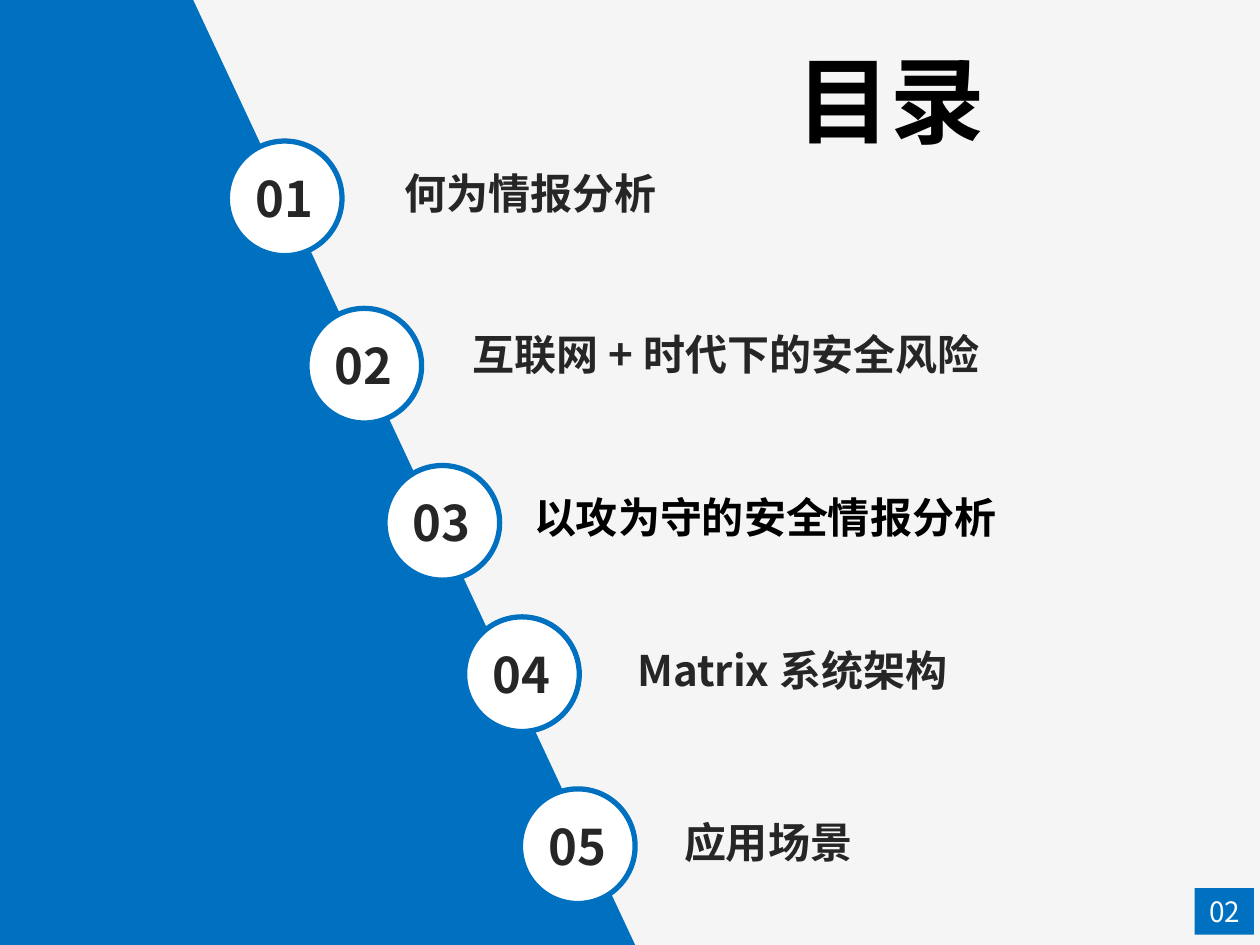
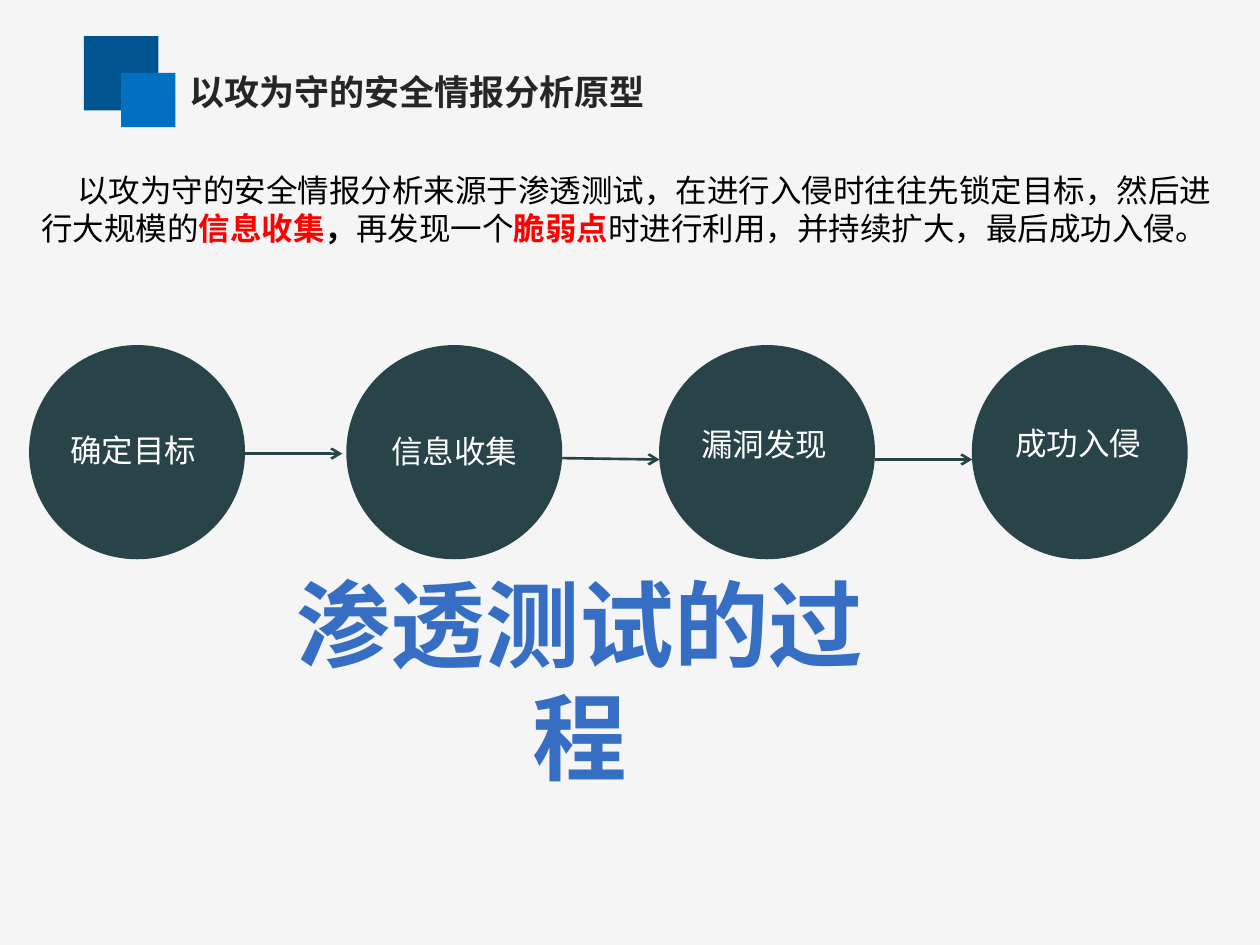
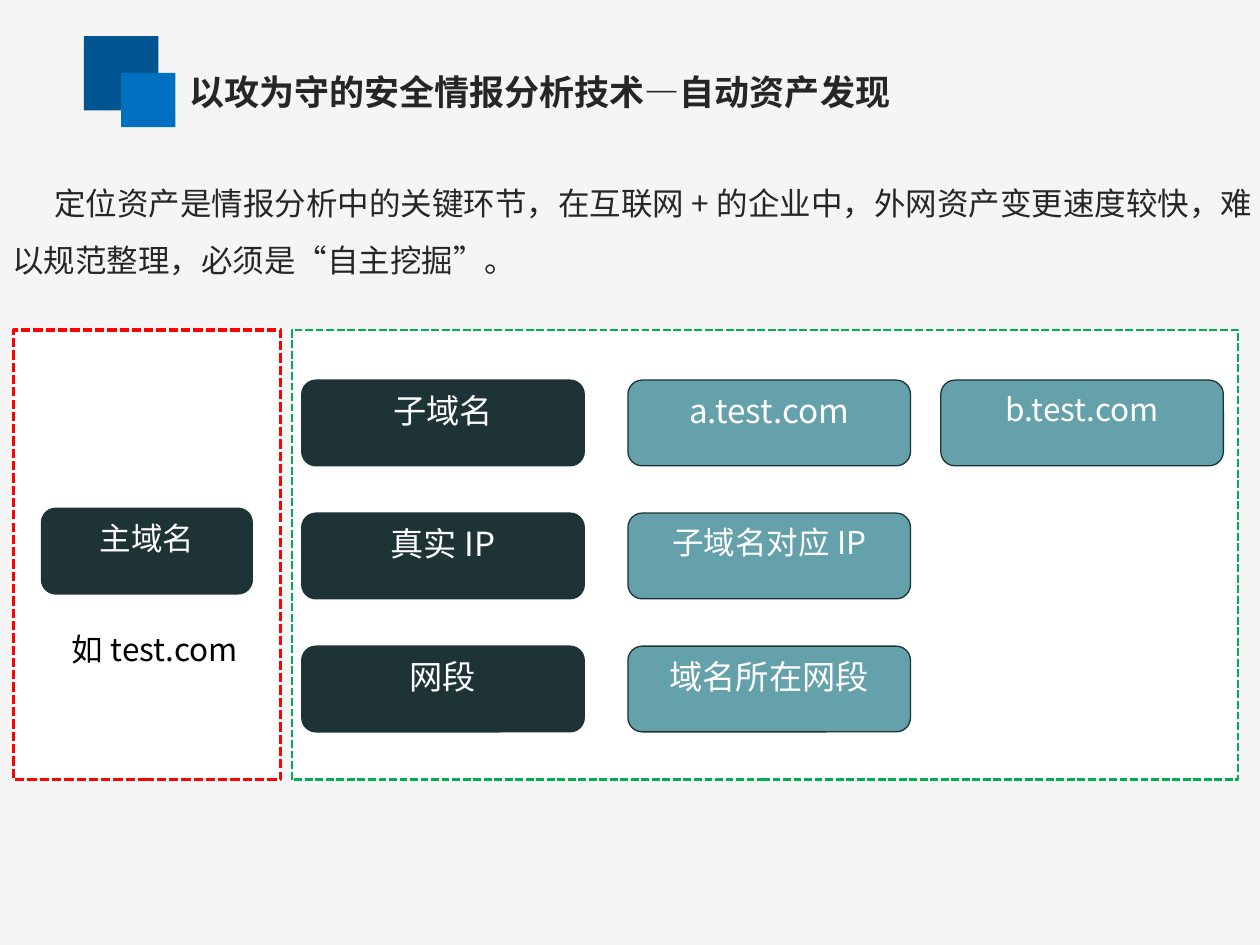
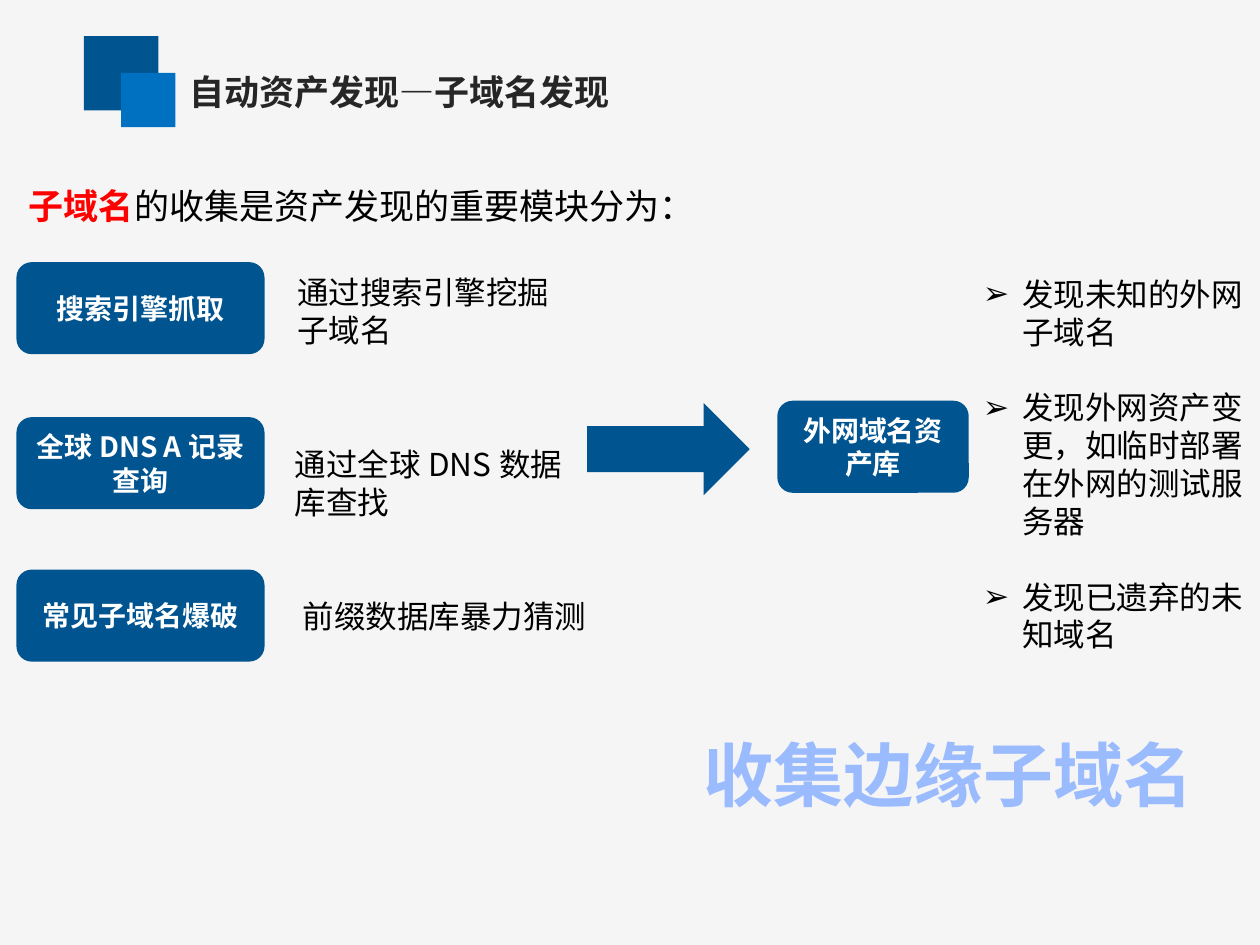
from lxml import etree
from pptx import Presentation
from pptx.dml.color import RGBColor
from pptx.enum.dml import MSO_LINE
from pptx.enum.shapes import MSO_CONNECTOR, MSO_SHAPE
from pptx.enum.text import MSO_ANCHOR, MSO_AUTO_SIZE, PP_ALIGN
from pptx.oxml.ns import qn
from pptx.util import Pt

# Shared colours, fonts and enum members
PAPER = RGBColor(0xF5, 0xF5, 0xF5)
WHITE = RGBColor(0xFF, 0xFF, 0xFF)
BLACK = RGBColor(0x00, 0x00, 0x00)
INK = RGBColor(0x26, 0x26, 0x26)
RED = RGBColor(0xFF, 0x00, 0x00)
GREEN = RGBColor(0x00, 0xB0, 0x50)
BLUE = RGBColor(0x00, 0x70, 0xC0)
NAVY = RGBColor(0x00, 0x54, 0x90)
SLATE = RGBColor(0x28, 0x44, 0x48)
DARK_TEAL = RGBColor(0x1E, 0x33, 0x36)
TEAL = RGBColor(0x65, 0xA1, 0xAA)
CAPTION_BLUE = RGBColor(0x36, 0x6E, 0xC4)
PALE_BLUE = RGBColor(0x9B, 0xBB, 0xFF)

FONT = "Noto Sans CJK SC"
CAPTION_FONT = "Calibri"
COVER_FONT = "Times New Roman"

LEFT, CENTER = PP_ALIGN.LEFT, PP_ALIGN.CENTER
TOP, MIDDLE = MSO_ANCHOR.TOP, MSO_ANCHOR.MIDDLE
NO_AUTOFIT = MSO_AUTO_SIZE.NONE
RECTANGLE, ROUNDED = MSO_SHAPE.RECTANGLE, MSO_SHAPE.ROUNDED_RECTANGLE
ELLIPSE, RIGHT_ARROW = MSO_SHAPE.OVAL, MSO_SHAPE.RIGHT_ARROW
STRAIGHT, SHORT_DASH = MSO_CONNECTOR.STRAIGHT, MSO_LINE.SQUARE_DOT

TITLE_AND_CONTENT, TITLE_ONLY = 1, 5


# Text helpers
def write_runs(paragraph, runs, size, color=BLACK, bold=False, font=FONT, align=LEFT):
    """runs is a string, or a list of (text, color, bold)."""
    paragraph.alignment = align
    if isinstance(runs, str):
        runs = [(runs, color, bold)]
    for text, run_color, run_bold in runs:
        run = paragraph.add_run()
        run.text = text
        run.font.name = font
        run.font.size = Pt(size)
        run.font.bold = run_bold
        run.font.color.rgb = run_color
        east_asian = etree.SubElement(run.font._element, qn("a:ea"))
        east_asian.set("typeface", FONT)


def set_indent(paragraph, margin, first_line):
    properties = paragraph._p.get_or_add_pPr()
    properties.set("marL", str(Pt(margin)))
    properties.set("indent", str(Pt(first_line)))
    return properties


def prepare_frame(shape, anchor=TOP):
    frame = shape.text_frame
    frame.word_wrap = True
    frame.auto_size = NO_AUTOFIT
    frame.vertical_anchor = anchor
    return frame


def place(shape, box):
    shape.left, shape.top, shape.width, shape.height = map(Pt, box)


def add_text(slide, box, runs, size, **style):
    text_box = slide.shapes.add_textbox(*map(Pt, box))
    paragraph = prepare_frame(text_box).paragraphs[0]
    write_runs(paragraph, runs, size, **style)
    return paragraph


def set_title(slide, box, text, size, **style):
    title = slide.shapes.title
    place(title, box)
    write_runs(prepare_frame(title).paragraphs[0], text, size, bold=True, **style)


# Shape helpers
def style_shape(shape, fill, line=None, width=0.75, dash=None):
    shape.shadow.inherit = False
    shape.fill.solid()
    shape.fill.fore_color.rgb = fill
    if line is None:
        shape.line.fill.background()
        return
    shape.line.color.rgb = line
    shape.line.width = Pt(width)
    if dash is not None:
        shape.line.dash_style = dash


def add_block(slide, kind, box, fill, **line_style):
    shape = slide.shapes.add_shape(kind, *map(Pt, box))
    style_shape(shape, fill, **line_style)
    return shape


def add_label_block(slide, box, text, size, fill, line=None, anchor=TOP, bold=False):
    block = add_block(slide, ROUNDED, box, fill, line=line)
    paragraph = prepare_frame(block, anchor).paragraphs[0]
    write_runs(paragraph, text, size, WHITE, bold, align=CENTER)


def add_arrow(slide, start, end):
    arrow = slide.shapes.add_connector(STRAIGHT, *map(Pt, start + end))
    arrow.line.color.rgb = SLATE
    arrow.line.width = Pt(1.5)
    arrow.line._get_or_add_ln().append(
        etree.Element(qn("a:tailEnd"), type="arrow"))
    etree.SubElement(arrow._element.spPr, qn("a:effectLst"))


# Slide frames
def new_slide(presentation, layout):
    return presentation.slides.add_slide(presentation.slide_layouts[layout])


def content_slide(presentation, heading, layout=TITLE_ONLY):
    slide = new_slide(presentation, layout)
    set_title(slide, (100.8, 36.7, 560, 31.7), heading, 20, color=INK)
    add_block(slide, RECTANGLE, (48, 20.6, 42.5, 42.5), NAVY)
    add_block(slide, RECTANGLE, (69.3, 41.7, 31, 31), BLUE)
    return slide


# Agenda slide
def add_wedge(slide):
    builder = slide.shapes.build_freeform(Pt(-2), Pt(-1))
    corners = [(110, -1), (363, 540), (-1, 543)]
    builder.add_line_segments([(Pt(x), Pt(y)) for x, y in corners])
    style_shape(builder.convert_to_shape(), BLUE)


def add_agenda_item(slide, left, top, number, topic, topic_box, color):
    add_block(slide, ELLIPSE, (left, top, 65.5, 65.5), WHITE, line=BLUE, width=3)
    add_text(slide, (left + 6, top + 12, 53, 41), f"{number:02d}", 28,
             color=INK, bold=True, align=CENTER)
    add_text(slide, topic_box + (36,), topic, 24, color=color, bold=True)


def add_page_badge(slide, left, top, label):
    add_block(slide, RECTANGLE, (left, top, 34, 26.6), BLUE)
    add_text(slide, (left - 8, top, 50.4, 26.6), label, 16, color=WHITE, align=CENTER)


def agenda_slide(presentation):
    slide = new_slide(presentation, TITLE_ONLY)
    set_title(slide, (343.4, 20.2, 331, 72.7), "目录", 54,
              color=BLACK, font=COVER_FONT, align=CENTER)
    add_wedge(slide)
    items = [
        (129.9, 80.6, "何为情报分析", (223.9, 92.2, 440), INK),
        (175.4, 176.2, "互联网+时代下的安全风险", (262.8, 184.3, 440), INK),
        (220, 266, "以攻为守的安全情报分析", (298.1, 277.2, 413), BLACK),
        (265.5, 352.5, "Matrix系统架构", (357.1, 365, 348), INK),
        (297.4, 450.8, "应用场景", (383.8, 463, 330), INK),
    ]
    for number, (left, top, topic, topic_box, color) in enumerate(items, 1):
        add_agenda_item(slide, left, top, number, topic, topic_box, color)
    add_page_badge(slide, 682.6, 507.5, "02")


# Penetration process slide
def add_process(slide, left, top):
    circle_width, circle_height = 123.4, 122.4
    # circle offset, label offset (x, y), step name
    steps = [
        (0, 7.2, 45.4, "确定目标"),
        (181.3, 190.8, 46.1, "信息收集"),
        (360, 368, 42.2, "漏洞发现"),
        (538.7, 547.2, 41.8, "成功入侵"),
    ]
    for circle_x, label_x, label_y, name in steps:
        add_block(slide, ELLIPSE,
                  (left + circle_x, top, circle_width, circle_height), SLATE)
        add_text(slide, (left + label_x, top + label_y, 104.4, 27), name, 18,
                 color=WHITE, align=CENTER)
    for step, (start_y, end_y) in zip(steps, [(62, 62), (64.6, 65.4), (65.4, 65.4)]):
        start_x = left + step[0] + circle_width
        add_arrow(slide, (start_x, top + start_y), (start_x + 55.6, top + end_y))


def process_slide(presentation):
    slide = content_slide(presentation, "以攻为守的安全情报分析原型")
    intro = add_text(slide, (16.6, 94.3, 685.4, 51), [
        ("以攻为守的安全情报分析来源于渗透测试，在进行入侵时往往先锁定目标，"
         "然后进行大规模的", BLACK, False),
        ("信息收集", RED, True),
        ("，", BLACK, True),
        ("再发现一个", BLACK, False),
        ("脆弱点", RED, True),
        ("时进行利用，并持续扩大，最后成功入侵。", BLACK, False),
    ], 18)
    set_indent(intro, 0, 20.5)
    add_process(slide, 16.6, 197.2)
    add_text(slide, (155.5, 319.7, 351.4, 63.4), "渗透测试的过程", 54,
             color=CAPTION_BLUE, bold=True, font=CAPTION_FONT, align=CENTER)


# Asset discovery slide
def add_domain_panel(slide, left, top):
    add_block(slide, RECTANGLE, (left, top, 152.6, 257), WHITE,
              line=RED, width=1.75, dash=SHORT_DASH)
    add_label_block(slide, (left + 15.8, top + 101.8, 120.5, 49), "主域名", 18,
                    DARK_TEAL, DARK_TEAL)
    add_text(slide, (left + 26, top + 167.8, 111, 35.3), "如test.com", 18)


def add_asset_panel(slide, left, top):
    add_block(slide, RECTANGLE, (left, top, 540.7, 257), WHITE,
              line=GREEN, width=1.5, dash=SHORT_DASH)
    rows = [
        [("子域名", 19), ("a.test.com", 19), ("b.test.com", 18)],
        [("真实IP", 19), ("子域名对应IP", 18)],
        [("网段", 19), ("域名所在网段", 19)],
    ]
    columns = [(5.6, DARK_TEAL), (192, TEAL), (370.8, TEAL)]
    for row_index, row in enumerate(rows):
        for (text, size), (x, fill) in zip(row, columns):
            box = (left + x, top + 28.6 + 76 * row_index, 161.5, 49)
            add_label_block(slide, box, text, size, fill, DARK_TEAL)


def asset_slide(presentation):
    slide = content_slide(presentation, "以攻为守的安全情报分析技术—自动资产发现")
    add_domain_panel(slide, 7.9, 188.6)
    add_asset_panel(slide, 166.8, 188.6)
    intro = add_text(
        slide, (0, 90.7, 733, 72.7),
        "定位资产是情报分析中的关键环节，在互联网+的企业中，外网资产变更速度较快，"
        "难以规范整理，必须是“自主挖掘”。", 18, color=INK)
    intro.line_spacing = 1.5
    set_indent(intro, 0, 24)


# Subdomain discovery slide
def add_methods(slide, left, top):
    # block offset, name, explanation, explanation box
    methods = [
        (0, "搜索引擎抓取", "通过搜索引擎挖掘子域名", (153.4, 2.9, 175.7, 51)),
        (88.6, "全球DNS A记录查询", "通过全球DNS数据库查找", (152, 100.8, 177, 51)),
        (175.7, "常见子域名爆破", "前缀数据库暴力猜测", (156.4, 188, 195, 28.8)),
    ]
    for y, name, explanation, (text_x, text_y, width, height) in methods:
        add_label_block(slide, (left, top + y, 141.8, 52.6), name, 16, NAVY,
                        anchor=MIDDLE, bold=True)
        add_text(slide, (left + text_x, top + text_y, width, height), explanation, 18)


def add_findings(slide, box):
    body = slide.placeholders[1]
    place(body, box)
    frame = prepare_frame(body)
    findings = [
        "发现未知的外网子域名",
        "发现外网资产变更，如临时部署在外网的测试服务器",
        "发现已遗弃的未知域名",
    ]
    for index, finding in enumerate(findings):
        paragraph = frame.add_paragraph() if index else frame.paragraphs[0]
        properties = set_indent(paragraph, 22.5, -22.5)
        etree.SubElement(properties, qn("a:buChar"), char="➢")
        paragraph.space_before = Pt(21.7 if index else 0)
        write_runs(paragraph, finding, 18)


def subdomain_slide(presentation):
    slide = content_slide(presentation, "自动资产发现—子域名发现", TITLE_AND_CONTENT)
    lead = add_text(slide, (9.4, 90, 700, 39.6), [
        ("子域名", RED, True),
        ("的收集是资产发现的重要模块分为：", BLACK, False),
    ], 20)
    lead.line_spacing = 1.5
    add_methods(slide, 9.4, 149.8)
    add_block(slide, RIGHT_ARROW, (335.5, 230.4, 92.9, 52.6), NAVY)
    add_label_block(slide, (444.2, 229, 109.4, 52.6), "外网域名资产库", 16, NAVY,
                    anchor=MIDDLE, bold=True)
    add_findings(slide, (554.4, 153.4, 173.5, 237.6))
    add_text(slide, (333.4, 414.7, 416.9, 55.4), "收集边缘子域名", 40,
             color=PALE_BLUE, bold=True, font=CAPTION_FONT, align=CENTER)


def main():
    presentation = Presentation()
    presentation.slide_width, presentation.slide_height = Pt(720), Pt(540)
    background = presentation.slide_master.background.fill
    background.solid()
    background.fore_color.rgb = PAPER
    agenda_slide(presentation)
    process_slide(presentation)
    asset_slide(presentation)
    subdomain_slide(presentation)
    presentation.save("out.pptx")


if __name__ == "__main__":
    main()
